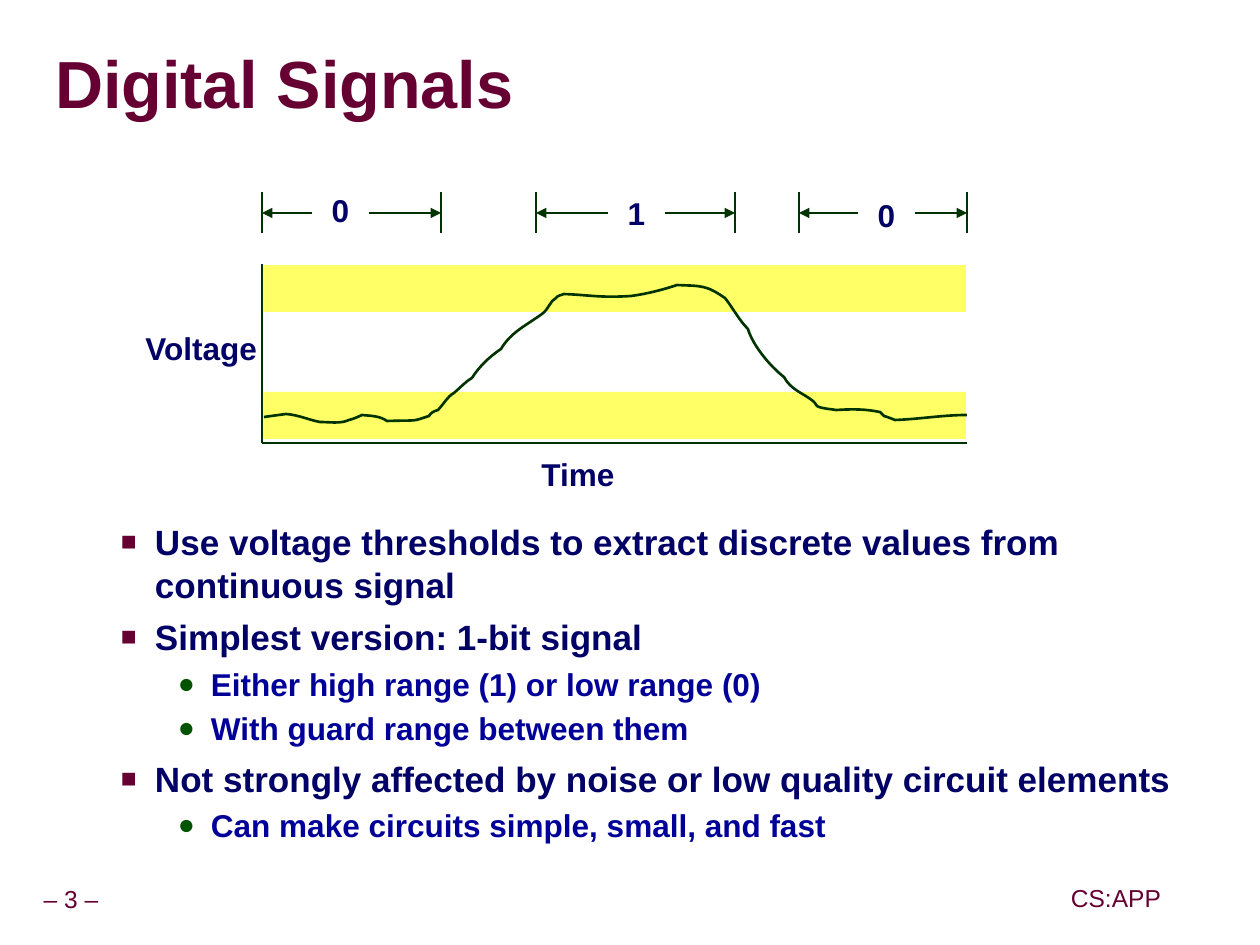
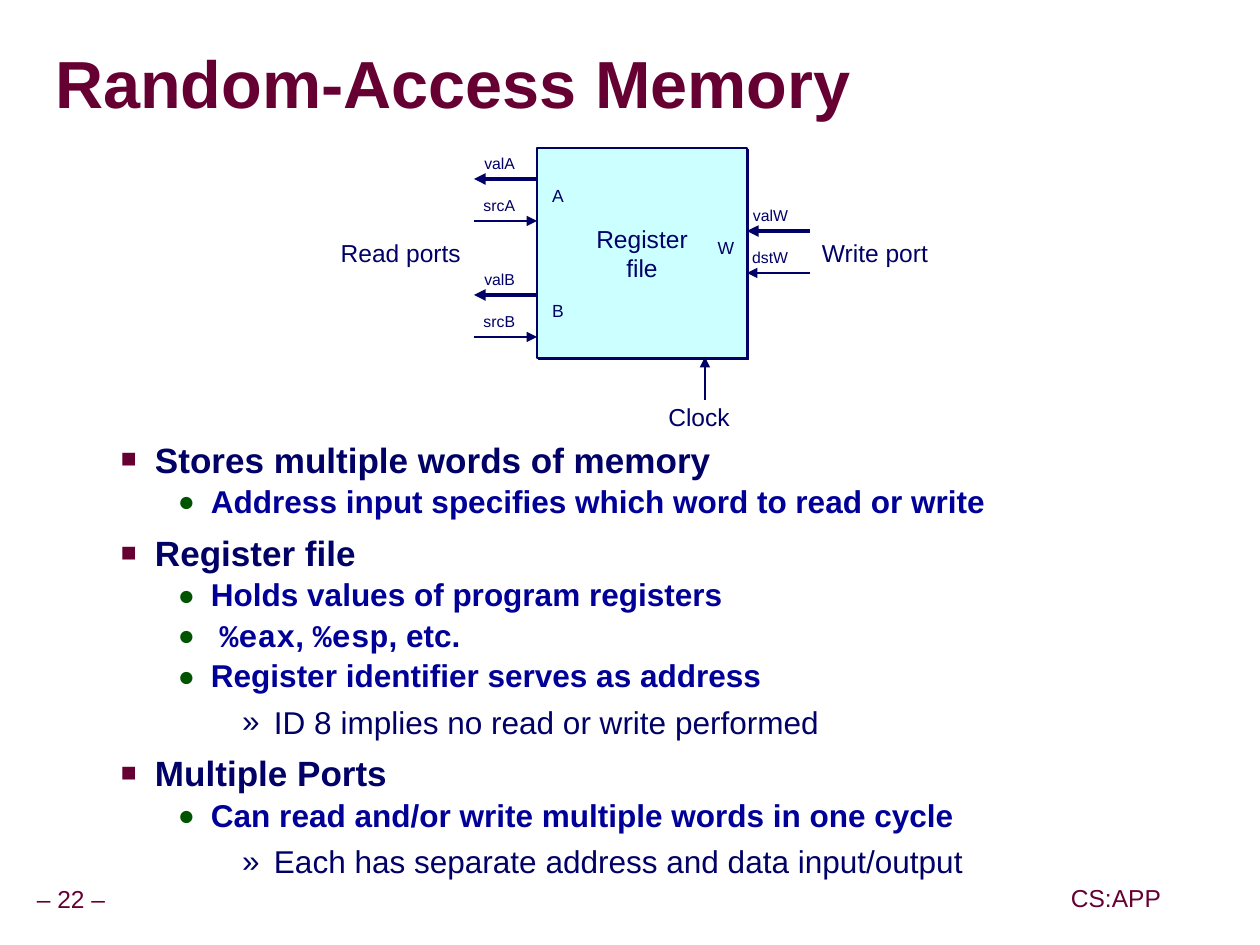
"""Build two slides on digital signals and random-access memory."""
from lxml.etree import SubElement
from pptx import Presentation
from pptx.dml.color import RGBColor
from pptx.enum.shapes import MSO_CONNECTOR, MSO_SHAPE
from pptx.enum.text import MSO_ANCHOR, MSO_AUTO_SIZE, PP_ALIGN
from pptx.oxml.ns import qn
from pptx.util import Pt

PX = 7250
SANS, MONO = "Arial", "Courier New"
LEFT, MID, RIGHT = PP_ALIGN.LEFT, PP_ALIGN.CENTER, PP_ALIGN.RIGHT
INK = {
    "wine": "660033", "navy": "000066", "blue": "000099", "leaf": "005400",
    "pine": "003300", "band": "FFFF66", "cyan": "CCFFFF", "white": "FFFFFF",
    "gray": "999999",
}
LEVELS = {
    1: dict(mark="■", tint="wine", part=75, edge=102, hang=34, gap=6.2,
            size=20, ink="navy", bold=True),
    2: dict(mark="●", tint="leaf", part=90, edge=158, hang=33, gap=2.2,
            size=18, ink="blue", bold=True),
    3: dict(mark="»", tint="navy", part=100, edge=221, hang=32, gap=4.5,
            size=18, ink="navy", bold=False),
}
WAVE = [
    (264, 417), (271, 416), (279, 415), (286, 414), (299, 415), (309, 420), (320, 422),
    (329, 422), (341, 424), (349, 420), (354, 419), (362, 415), (362, 415),
    (372, 416), (380, 416), (387, 421), (419, 420), (411, 422), (429, 416),
    (430, 415), (430, 414), (433, 412), (434, 411), (436, 411), (438, 410),
    (443, 405), (448, 396), (454, 393), (460, 388), (465, 382), (472, 378),
    (479, 367), (489, 357), (501, 349), (511, 332), (527, 325), (542, 314),
    (549, 309), (550, 301), (556, 298), (557, 296), (561, 295), (564, 294),
    (590, 295), (600, 298), (631, 296), (646, 294), (662, 290), (677, 285),
    (702, 286), (706, 285), (725, 298), (733, 308), (739, 320), (748, 329),
    (753, 346), (771, 367), (784, 377), (791, 390), (803, 393), (813, 401),
    (815, 402), (816, 405), (817, 406), (822, 409), (832, 409), (836, 410),
    (853, 409), (865, 409), (880, 412), (882, 414), (883, 415), (884, 416),
    (888, 417), (895, 420), (895, 420), (921, 419), (943, 415), (967, 415),
]


def tone(name):
    """Give the colour of a name."""
    return RGBColor.from_string(INK[name])


def shade(effects, ink, dist):
    """Add a shadow to the lower right."""
    cast = SubElement(effects, qn("a:outerShdw"), dist=str(Pt(dist)), dir="2700000",
                      algn="ctr", rotWithShape="0")
    SubElement(cast, qn("a:srgbClr"), val=INK[ink])


class Deck:
    """Hold the style and the current slide."""

    def __init__(self):
        """Start an empty deck."""
        self.deck = Presentation()
        self.deck.slide_width, self.deck.slide_height = 1260 * PX, 945 * PX

    def page(self, title, number):
        """Add a slide with its title and footer."""
        slide = self.deck.slides.add_slide(self.deck.slide_layouts[5])
        self.shapes = slide.shapes
        head = self.shapes.title
        head.left, head.top, head.width, head.height = (n * PX for n in (55, 34, 1200, 107))
        para = self.frame(head).paragraphs[0]
        para.alignment, para.line_spacing = LEFT, 0.87
        self.run(para, title, 38, "wine", True)
        props = next(para._p.iter(qn("a:rPr")))
        glow = SubElement(props, qn("a:effectLst"))
        shade(glow, "gray", 3)
        props.find(qn("a:solidFill")).addnext(glow)
        self.label(f"– {number} –", 0, 901, 142, 14, "wine", pitch=0.9)
        self.label("CS:APP", 1061, 900, 110, 14, "wine", pitch=0.9)

    def frame(self, shape, anchor=MSO_ANCHOR.MIDDLE):
        """Set up a wrapped text frame without margins."""
        frame = shape.text_frame
        frame.word_wrap, frame.auto_size = True, MSO_AUTO_SIZE.NONE
        frame.vertical_anchor = anchor
        frame.margin_left = frame.margin_right = frame.margin_top = frame.margin_bottom = 0
        return frame

    def run(self, para, text, size, ink, bold=False, face=SANS):
        """Add one run of text."""
        run = para.add_run()
        run.text = text
        font = run.font
        font.size, font.bold, font.name = Pt(size), bold, face
        font.color.rgb = tone(ink)

    def fill(self, shape, lines, size, ink="navy", bold=False, align=MID, pitch=None):
        """Put short lines of text into a shape."""
        frame = self.frame(shape)
        for i, line in enumerate(lines):
            para = frame.add_paragraph() if i else frame.paragraphs[0]
            para.alignment = align
            if pitch:
                para.line_spacing = pitch
            self.run(para, line, size, ink, bold)

    def label(self, text, x, y, w, size, ink="navy", bold=False, align=MID, pitch=None):
        """Add a one-line label centred on y."""
        box = self.shapes.add_textbox(x * PX, (y - 20) * PX, w * PX, 40 * PX)
        self.fill(box, [text], size, ink, bold, align, pitch)

    def rect(self, x, y, w, h, ink, line=None, weight=1.5):
        """Add a filled rectangle."""
        box = self.shapes.add_shape(MSO_SHAPE.RECTANGLE, x * PX, y * PX, w * PX, h * PX)
        box.shadow.inherit = False
        box.fill.solid()
        box.fill.fore_color.rgb = tone(ink)
        if line:
            box.line.color.rgb, box.line.width = tone(line), Pt(weight)
        else:
            box.line.fill.background()
        return box

    def line(self, x1, y1, x2, y2, ink="pine", weight=1.5, ends=()):
        """Add a line, with arrowheads at the named ends."""
        line = self.shapes.add_connector(
            MSO_CONNECTOR.STRAIGHT, x1 * PX, y1 * PX, x2 * PX, y2 * PX)
        line.line.color.rgb, line.line.width = tone(ink), Pt(weight)
        props = line._element.spPr
        for end in ends:
            SubElement(props.find(qn("a:ln")), qn(f"a:{end}End"), type="triangle")
        SubElement(props, qn("a:effectLst"))

    def curve(self, points, ink="pine", weight=1.5):
        """Add an open curve of joined cubic pieces."""
        pen = self.shapes.build_freeform(*points[0], scale=PX)
        pen.add_line_segments(points[1:], close=False)
        wave = pen.convert_to_shape()
        wave.shadow.inherit = False
        wave.fill.background()
        wave.line.color.rgb, wave.line.width = tone(ink), Pt(weight)
        steps = list(wave._element.iter(qn("a:lnTo")))
        for trio in zip(steps[::3], steps[1::3], steps[2::3]):
            bend = SubElement(trio[0].getparent(), qn("a:cubicBezTo"))
            for step in trio:
                bend.append(step[0])
                step.getparent().remove(step)

    def body(self, y, h, pitch, items):
        """Add the bullet list, with the line pitch of level two."""
        box = self.shapes.add_textbox(53 * PX, y * PX, 1119 * PX, h * PX)
        frame = self.frame(box, MSO_ANCHOR.TOP)
        for i, (level, *parts) in enumerate(items):
            look = LEVELS[level]
            para = frame.add_paragraph() if i else frame.paragraphs[0]
            props = para._p.get_or_add_pPr()
            props.set("marL", str(look["edge"] * PX))
            props.set("indent", str(-look["hang"] * PX))
            SubElement(SubElement(props, qn("a:buClr")), qn("a:srgbClr"), val=INK[look["tint"]])
            SubElement(props, qn("a:buSzPct"), val=str(look["part"] * 1000))
            SubElement(props, qn("a:buFont"), typeface=SANS)
            SubElement(props, qn("a:buChar"), char=look["mark"])
            para.alignment = LEFT
            if i:
                para.space_before = Pt(look["gap"])
            if level == 2:
                para.line_spacing = pitch
            for part in parts:
                face = MONO if part.startswith("%") else SANS
                self.run(para, part, look["size"], look["ink"], look["bold"], face)


def signals(deck):
    """Draw the slide on digital signals."""
    deck.page("Digital Signals", 3)
    for y in (265, 392):
        deck.rect(262, y, 704, 47, "band")
    deck.line(262, 443, 262, 264)
    deck.line(262, 443, 967, 443)
    deck.label("Voltage", 130, 350, 127, 18, bold=True, align=RIGHT, pitch=0.9)
    deck.label("Time", 528, 476, 100, 18, bold=True, pitch=0.9)
    deck.curve(WAVE)
    for bit, x1, x2, x, y in (("0", 262, 441, 313, 189), ("1", 536, 735, 609, 192),
                              ("0", 799, 967, 859, 194)):
        for tick in (x1, x2):
            deck.line(tick, 192, tick, 233)
        deck.line(x1, 213, x2, 213, ends=("head", "tail"))
        box = deck.rect(x, y, 55, 47, "white", "white")
        deck.fill(box, [bit], 18, bold=True, pitch=0.9)
    deck.body(521, 360, 1.07, [
        (1, "Use voltage thresholds to extract discrete values from continuous signal"),
        (1, "Simplest version: 1-bit signal"),
        (2, "Either high range (1) or low range (0)"),
        (2, "With guard range between them"),
        (1, "Not strongly affected by noise or low quality circuit elements"),
        (2, "Can make circuits simple, small, and fast"),
    ])


def memory(deck):
    """Draw the slide on random-access memory."""
    deck.page("Random-Access Memory", 22)
    chip = deck.rect(537, 148, 210, 210, "cyan", "navy", 0.75)
    shade(chip._element.spPr.find(qn("a:effectLst")), "navy", 1.4)
    deck.fill(chip, ["Register", "file"], 14)
    for name, x, y in (("A", 558, 196), ("B", 558, 311), ("W", 726, 248)):
        deck.label(name, x - 20, y, 40, 10)
    for data, key, y, x1, x2, x3, x4, edge in (
            ("valA", "srcA", 179, 537, 474, 474, 537, 515),
            ("valB", "srcB", 295, 537, 474, 474, 537, 515),
            ("valW", "dstW", 231, 810, 747, 810, 747, 788)):
        deck.line(x1, y, x2, y, "navy", 2.25, ("tail",))
        deck.line(x3, y + 42, x4, y + 42, "navy", 1, ("tail",))
        for text, mid in ((data, y - 16), (key, y + 26)):
            deck.label(text, edge - 50, mid, 50, 9, align=RIGHT)
    deck.label("Read ports", 318, 253, 143, 14, align=RIGHT)
    deck.label("Write port", 822, 253, 130, 14, align=LEFT)
    deck.line(705, 400, 705, 357, "navy", 1, ("tail",))
    deck.label("Clock", 659, 419, 80, 14, pitch=0.9)
    deck.body(438, 445, 0.97, [
        (1, "Stores multiple words of memory"),
        (2, "Address input specifies which word to read or write"),
        (1, "Register file"),
        (2, "Holds values of program registers"),
        (2, " ", "%eax", ", ", "%esp", ", etc."),
        (2, "Register identifier serves as address"),
        (3, "ID 8 implies no read or write performed"),
        (1, "Multiple Ports"),
        (2, "Can read and/or write multiple words in one cycle"),
        (3, "Each has separate address and data input/output"),
    ])


def main():
    """Build and save the deck."""
    deck = Deck()
    signals(deck)
    memory(deck)
    deck.deck.save("out.pptx")


if __name__ == "__main__":
    main()
